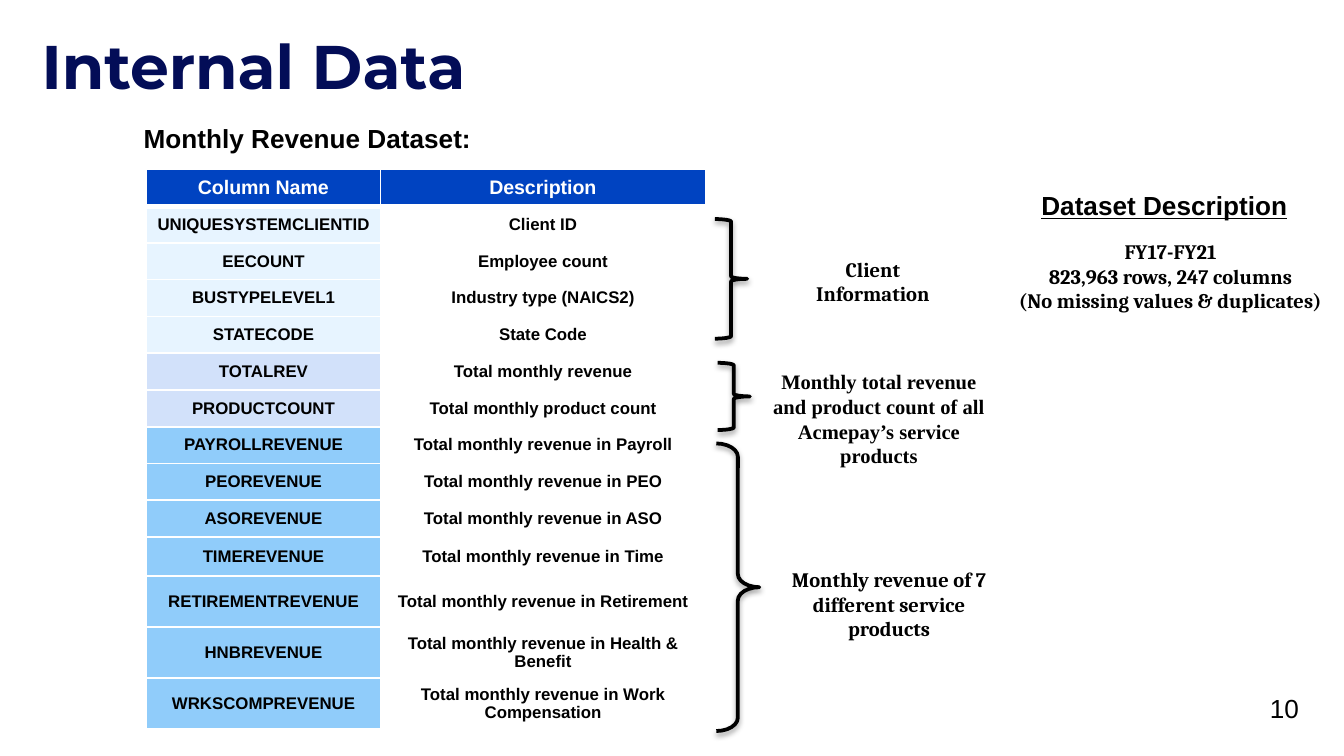
"""Build the Internal Data slide: a column dictionary table with braces and notes."""
import pptx
import pptx.dml.color
import pptx.enum.shapes
import pptx.enum.text
import pptx.oxml
import pptx.oxml.ns
import pptx.util

Inches = pptx.util.Inches
Pt = pptx.util.Pt
ALIGN = pptx.enum.text.PP_ALIGN
ANCHOR = pptx.enum.text.MSO_ANCHOR

COLORS = {
    "title": "030D57", "text": "000000", "white": "FFFFFF", "header": "0043C1",
    "client": "E7F4FF", "total": "D2E1FA", "product": "90CCFA",
}
SLIDE_WIDTH = Inches(10)
SLIDE_HEIGHT = SLIDE_WIDTH * 9 // 16
HEADER = ("Column Name", "Description")
GROUPS = [
    ("client", [
        ("UNIQUESYSTEMCLIENTID", "Client ID"),
        ("EECOUNT", "Employee count"),
        ("BUSTYPELEVEL1", "Industry type (NAICS2)"),
        ("STATECODE", "State Code"),
    ]),
    ("total", [
        ("TOTALREV", "Total monthly revenue"),
        ("PRODUCTCOUNT", "Total monthly product count"),
    ]),
    ("product", [
        ("PAYROLLREVENUE", "Total monthly revenue in Payroll"),
        ("PEOREVENUE", "Total monthly revenue in PEO"),
        ("ASOREVENUE", "Total monthly revenue in ASO"),
        ("TIMEREVENUE", "Total monthly revenue in Time"),
        ("RETIREMENTREVENUE", "Total monthly revenue in Retirement"),
        ("HNBREVENUE", "Total monthly revenue in Health & Benefit"),
        ("WRKSCOMPREVENUE", "Total monthly revenue in Work Compensation"),
    ]),
]
TABLE_BOX = (1.09, 1.26, 4.16, 4.17)
COLUMN_WIDTHS = (1.74, 2.42)
TALL_ROWS = (0.29, 0.38, 0.38, 0.38)

LABEL = {"size": 14, "font": "Arial"}
NOTE = {"size": 11, "font": "Cambria", "align": ALIGN.CENTER}
TEXTS = [
    ("Monthly Revenue Dataset:", (0.97, 0.86, 2.69, 0.34), LABEL),
    ("Dataset Description", (7.65, 1.36, 2.04, 0.34), {**LABEL, "underline": True, "wrap": False}),
    ("Client\nInformation", (5.8, 1.86, 1.39, 0.47), NOTE),
    ("Monthly total revenue and product count of all Acmepay’s service products",
     (5.64, 2.7, 1.8, 0.84), {**NOTE, "font": "Times New Roman"}),
    ("Monthly revenue of 7 different service products", (5.72, 4.17, 1.79, 1.03), NOTE),
    ("FY17-FY21\n823,963 rows, 247 columns\n(No missing values & duplicates)",
     (7.08, 1.73, 3.26, 0.66), NOTE),
    ("10", (9.35, 5.1, 0.6, 0.43), {**LABEL, "bold": False}),
]
BRACES = [
    ((5.32, 1.63, 0.24, 0.89), 0.08),
    ((5.34, 2.7, 0.24, 0.5), 0.08),
    ((5.33, 3.3, 0.32, 2.14), 0.31),
]


def rgb(name):
    return pptx.dml.color.RGBColor.from_string(COLORS[name])


def place(box):
    return [Inches(length) for length in box]


def format_text(frame, size, font, color="text", bold=True, underline=None, align=ALIGN.LEFT):
    for paragraph in frame.paragraphs:
        paragraph.alignment = align
        for run in paragraph.runs:
            run.font.size = Pt(size)
            run.font.name = font
            run.font.bold = bold
            run.font.underline = underline
            run.font.color.rgb = rgb(color)


def add_title(slide):
    title = slide.shapes.title
    title.left, title.top, title.width, title.height = place((0.21, 0.14, 3.57, 0.72))
    frame = title.text_frame
    frame.text = "Internal Data"
    frame.word_wrap = True
    frame.auto_size = pptx.enum.text.MSO_AUTO_SIZE.NONE
    frame.vertical_anchor = ANCHOR.BOTTOM
    frame.margin_left = frame.margin_right = frame.margin_top = frame.margin_bottom = Inches(0.1)
    format_text(frame, 33, "Montserrat", "title")


def add_text(slide, text, box, wrap=True, **style):
    frame = slide.shapes.add_textbox(*place(box)).text_frame
    frame.word_wrap = wrap
    frame.text = text
    format_text(frame, **style)


def add_brace(slide, box, curve):
    brace = slide.shapes.add_shape(pptx.enum.shapes.MSO_SHAPE.RIGHT_BRACE, *place(box))
    brace.adjustments[0] = curve
    brace.fill.background()
    brace.line.color.rgb = rgb("text")
    brace.line.width = Pt(2)
    brace.shadow.inherit = False
    effects = brace._element.spPr.find(pptx.oxml.ns.qn("a:effectLst"))
    effects.append(pptx.oxml.parse_xml(
        f'<a:outerShdw {pptx.oxml.ns.nsdecls("a")} blurRad="{Pt(3.1)}" dist="{Pt(1.6)}" '
        f'dir="5400000" rotWithShape="0"><a:srgbClr val="{COLORS["text"]}">'
        '<a:alpha val="38000"/></a:srgbClr></a:outerShdw>'))


def add_borders(cell, **widths):
    properties = cell._tc.get_or_add_tcPr()
    for side in "LRTB":
        properties.append(pptx.oxml.parse_xml(
            f'<a:ln{side} {pptx.oxml.ns.nsdecls("a")} w="{Pt(widths.get(side, 1))}">'
            f'<a:solidFill><a:srgbClr val="{COLORS["white"]}"/></a:solidFill></a:ln{side}>'))


def add_table(slide):
    rows = [("header", HEADER)] + [(group, row) for group, members in GROUPS for row in members]
    table = slide.shapes.add_table(len(rows), len(HEADER), *place(TABLE_BOX)).table
    table.horz_banding = False
    for column, width in zip(table.columns, COLUMN_WIDTHS):
        column.width = Inches(width)
    even_count = len(rows) - len(TALL_ROWS)
    even_height = (TABLE_BOX[3] - sum(TALL_ROWS)) / even_count
    heights = [even_height] * even_count + list(TALL_ROWS)
    for row_index, (group, values) in enumerate(rows):
        table.rows[row_index].height = Inches(heights[row_index])
        is_header = group == "header"
        for column_index, value in enumerate(values):
            cell = table.cell(row_index, column_index)
            cell.text = value
            cell.vertical_anchor = ANCHOR.MIDDLE
            cell.margin_left = cell.margin_right = Inches(0.06)
            cell.margin_top = cell.margin_bottom = Inches(0.03)
            add_borders(cell, T=3 if row_index == 1 else 1, B=3 if is_header else 1)
            if is_header or column_index == 0:
                cell.fill.solid()
                cell.fill.fore_color.rgb = rgb(group)
            else:
                cell.fill.background()
            format_text(cell.text_frame, 10.5 if is_header else 9, "Arial",
                        "white" if is_header else "text", align=ALIGN.CENTER)


def main():
    presentation = pptx.Presentation()
    presentation.slide_width, presentation.slide_height = SLIDE_WIDTH, SLIDE_HEIGHT
    slide = presentation.slides.add_slide(presentation.slide_layouts[5])
    add_title(slide)
    add_table(slide)
    for box, curve in BRACES:
        add_brace(slide, box, curve)
    for text, box, style in TEXTS:
        add_text(slide, text, box, **style)
    presentation.save("out.pptx")


if __name__ == "__main__":
    main()
